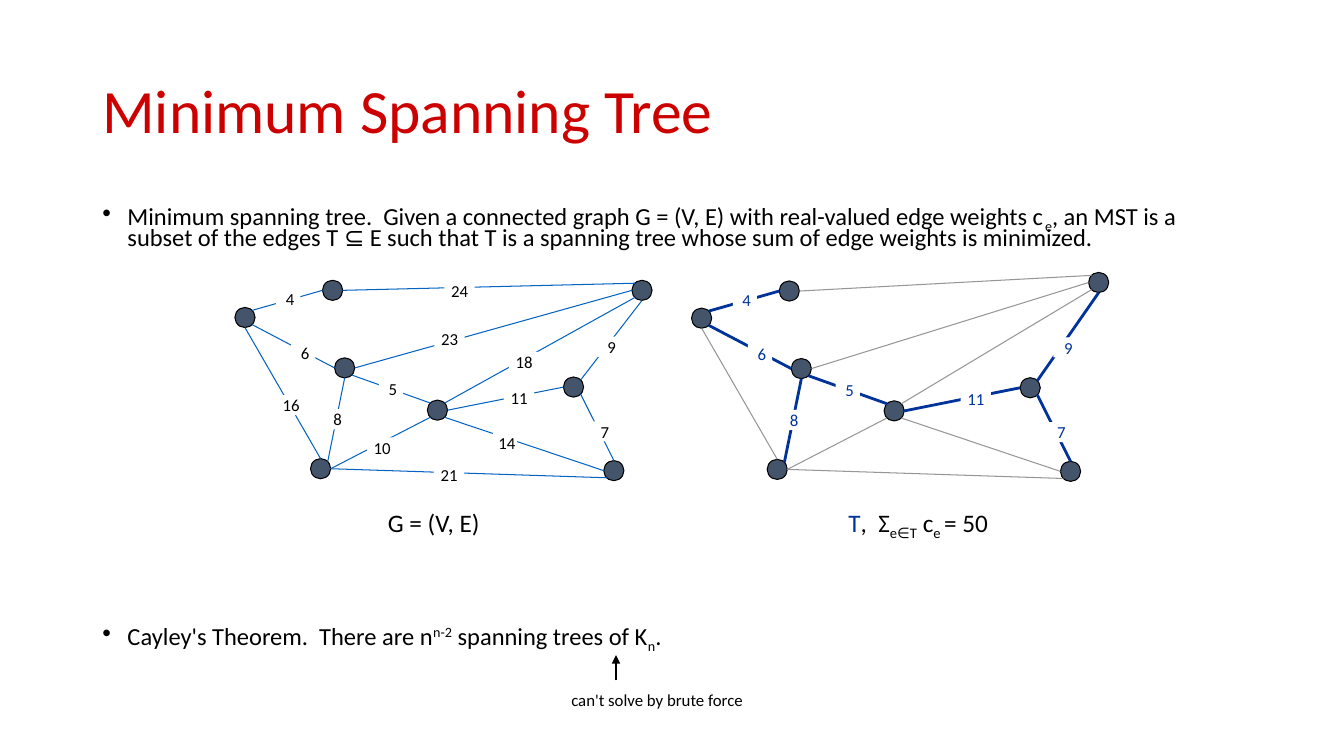
from math import cos, radians, sin

from lxml import etree
from pptx import Presentation
from pptx.dml.color import RGBColor
from pptx.enum import shapes, text
from pptx.oxml import ns
from pptx.util import Pt

COLORS = {
    "title": "CD0000", "text": "000000", "node": "44546A", "edge": "0563C1",
    "tree": "003399", "unused": "969696", "paper": "FFFFFF",
}
SUB, SUP = -25000, 30000

deck = Presentation()
deck.slide_width, deck.slide_height = Pt(960), Pt(540)
slide = deck.slides.add_slide(deck.slide_layouts[6])


def add_line(start, end, color, width=0.75):
    line = slide.shapes.add_connector(
        shapes.MSO_CONNECTOR.STRAIGHT, *(Pt(v) for v in (*start, *end)))
    line.line.color.rgb = RGBColor.from_string(COLORS[color])
    line.line.width = Pt(width)
    etree.SubElement(line._element.spPr, ns.qn("a:effectLst"))
    return line


def add_runs(paragraph, size, *runs):
    """Append runs given as (wording, color name, baseline shift)."""
    for wording, color, shift in runs:
        run = paragraph.add_run()
        run.text = wording
        run.font.name, run.font.size = "Calibri", Pt(size)
        run.font.color.rgb = RGBColor.from_string(COLORS[color])
        if shift:
            run._r.get_or_add_rPr().set("baseline", str(shift))


# Title
title = slide.shapes.add_textbox(Pt(66), Pt(28.8), Pt(828), Pt(104.4)).text_frame
title.word_wrap = True
title.vertical_anchor = text.MSO_ANCHOR.MIDDLE
title.paragraphs[0].line_spacing = 0.9
add_runs(title.paragraphs[0], 44, ("Minimum Spanning Tree", "title", 0))

# Definition and theorem; the graphs stand in the gap between them
statements = [
    (0, [("Minimum spanning tree.  Given a connected graph G = (V, E) with "
          "real-valued edge weights c", "text", 0),
         ("e", "text", SUB),
         (", an MST is a subset of the edges T ⊆ E such that T is a spanning "
          "tree whose sum of edge weights is minimized.", "text", 0)]),
    (268.6, [("Cayley's Theorem.  There are n", "text", 0),
             ("n-2", "text", SUP),
             (" spanning trees of K", "text", 0),
             ("n", "text", SUB),
             (".", "text", 0)]),
]
body = slide.shapes.add_textbox(Pt(66), Pt(144), Pt(828), Pt(342.7)).text_frame
body.word_wrap = True
for index, (gap, runs) in enumerate(statements):
    statement = body.add_paragraph() if index else body.paragraphs[0]
    statement.line_spacing = 0.7
    statement.space_before = Pt(gap)
    props = statement._p.get_or_add_pPr()
    props.set("marL", str(Pt(18)))
    props.set("indent", str(Pt(-18)))
    etree.SubElement(props, ns.qn("a:buFont"), typeface="Arial")
    etree.SubElement(props, ns.qn("a:buChar"), char="•")
    add_runs(statement, 17.5, *runs)

# Graph: node centers, then edges as (node, side, node, side, weight, label center)
RADIUS = 7.2
NODES = {
    "a": (175, 226.8), "b": (237.6, 207.4), "c": (458.6, 207.4), "d": (246.2, 262.8),
    "e": (312.5, 293), "f": (409.7, 276.5), "g": (229, 334.8), "h": (438.5, 336.2),
}
SIDES = {side: radians(45 * step) for step, side in
         enumerate(["E", "SE", "S", "SW", "W", "NW", "N", "NE"])}
EDGES = [
    ("a", "NE", "b", "W", 4, (205.9, 213.8)),
    ("a", "SE", "d", "W", 6, (216.7, 252)),
    ("a", "S", "g", "N", 16, (206.6, 289.4)),
    ("d", "E", "c", "W", 23, (321.1, 241.9)),
    ("f", "NE", "c", "S", 9, (437, 247.7)),
    ("d", "SE", "e", "NW", 5, (279.4, 277.9)),
    ("e", "SE", "h", "W", 14, (360.7, 316.1)),
    ("e", "E", "f", "W", 11, (370.8, 284.4)),
    ("f", "SE", "h", "N", 7, (432, 308.2)),
    ("c", "SW", "e", "NE", 18, (374.4, 258.5)),
    ("d", "S", "g", "NE", 8, (239.8, 299.5)),
    ("g", "E", "e", "SW", 10, (273, 319.7)),
    ("b", "E", "c", "NW", 24, (328.3, 208.1)),
    ("g", "E", "h", "SW", 21, (320.8, 339.1)),
]
TREE = {4, 5, 6, 7, 8, 9, 11}
NARROW = {4, 5, 6, 8, 14, 16}

for is_tree, dx, dy in [(False, 0, 0), (True, 326.2, 0.5)]:
    centers = {name: (x + dx, y + dy) for name, (x, y) in NODES.items()}
    if is_tree:
        centers["c"] = (centers["c"][0], 201.8)

    for x, y in centers.values():
        node = slide.shapes.add_shape(
            shapes.MSO_SHAPE.OVAL, Pt(x - RADIUS), Pt(y - RADIUS),
            Pt(2 * RADIUS), Pt(2 * RADIUS))
        node.shadow.inherit = False
        node.fill.solid()
        node.fill.fore_color.rgb = RGBColor.from_string(COLORS["node"])
        node.line.color.rgb = RGBColor.from_string(COLORS["text"])
        node.line.width = Pt(0.75)

    for tail, tail_side, head, head_side, weight, _ in EDGES:
        ends = [(centers[name][0] + RADIUS * cos(SIDES[side]),
                 centers[name][1] + RADIUS * sin(SIDES[side]))
                for name, side in ((tail, tail_side), (head, head_side))]
        if not is_tree:
            add_line(*ends, "edge")
        elif weight in TREE:
            add_line(*ends, "tree", 2)
        else:
            add_line(*ends, "unused")

    for *_, weight, (x, y) in EDGES:
        if is_tree and weight not in TREE:
            continue
        width = 17.3 if weight in NARROW else 21.6
        label = slide.shapes.add_shape(
            shapes.MSO_SHAPE.RECTANGLE, Pt(x + dx - width / 2), Pt(y + dy - 7.2),
            Pt(width), Pt(14.4))
        label.shadow.inherit = False
        label.fill.solid()
        label.fill.fore_color.rgb = RGBColor.from_string(COLORS["paper"])
        label.line.fill.background()
        frame = label.text_frame
        frame.margin_left = Pt(2.7 if weight in NARROW else 0)
        frame.margin_right = frame.margin_top = frame.margin_bottom = 0
        frame.word_wrap = True
        frame.vertical_anchor = text.MSO_ANCHOR.MIDDLE
        frame.paragraphs[0].alignment = text.PP_ALIGN.CENTER
        add_runs(frame.paragraphs[0], 12,
                 (str(weight), "tree" if is_tree else "text", 0))

# Captions under the graphs and the remark on the theorem
captions = [
    (270, 358.6, 102.2, 29.5, 18, [("G = (V, E)", "text", 0)]),
    (599, 358.6, 131.8, 29.5, 18,
     [("T", "tree", 0), (",  Σ", "text", 0), ("e∈T", "text", SUB),
      (" c", "text", 0), ("e ", "text", SUB), ("= 50", "text", 0)]),
    (401, 488.9, 138.2, 21.6, 12, [("can't solve by brute force", "text", 0)]),
]
for left, top, width, height, size, runs in captions:
    caption = slide.shapes.add_textbox(Pt(left), Pt(top), Pt(width), Pt(height)).text_frame
    caption.word_wrap = size == 18
    add_runs(caption.paragraphs[0], size, *runs)

pointer = add_line((440, 486), (440, 468), "text")
etree.SubElement(pointer.line._get_or_add_ln(), ns.qn("a:tailEnd"), type="triangle")

deck.save("out.pptx")
